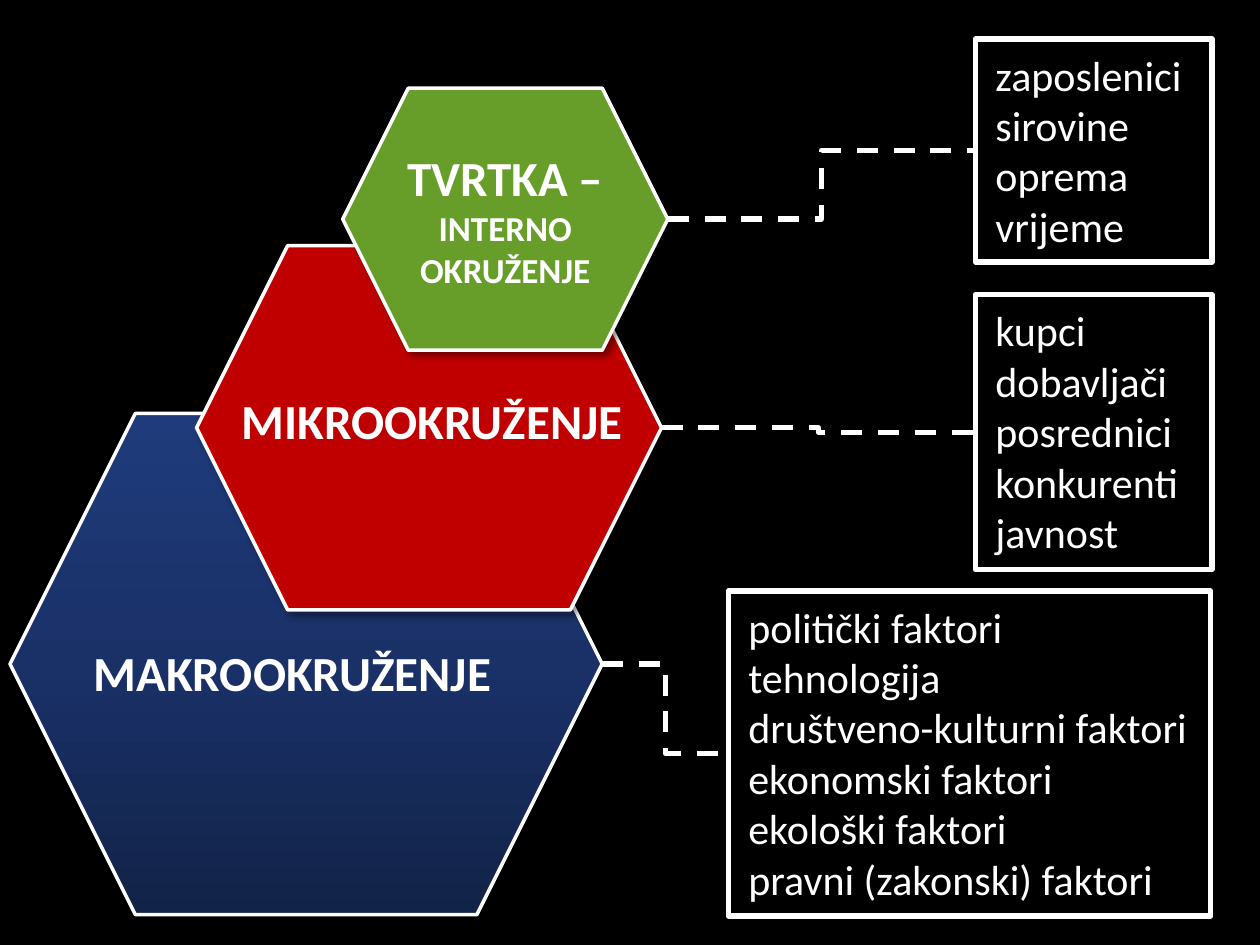
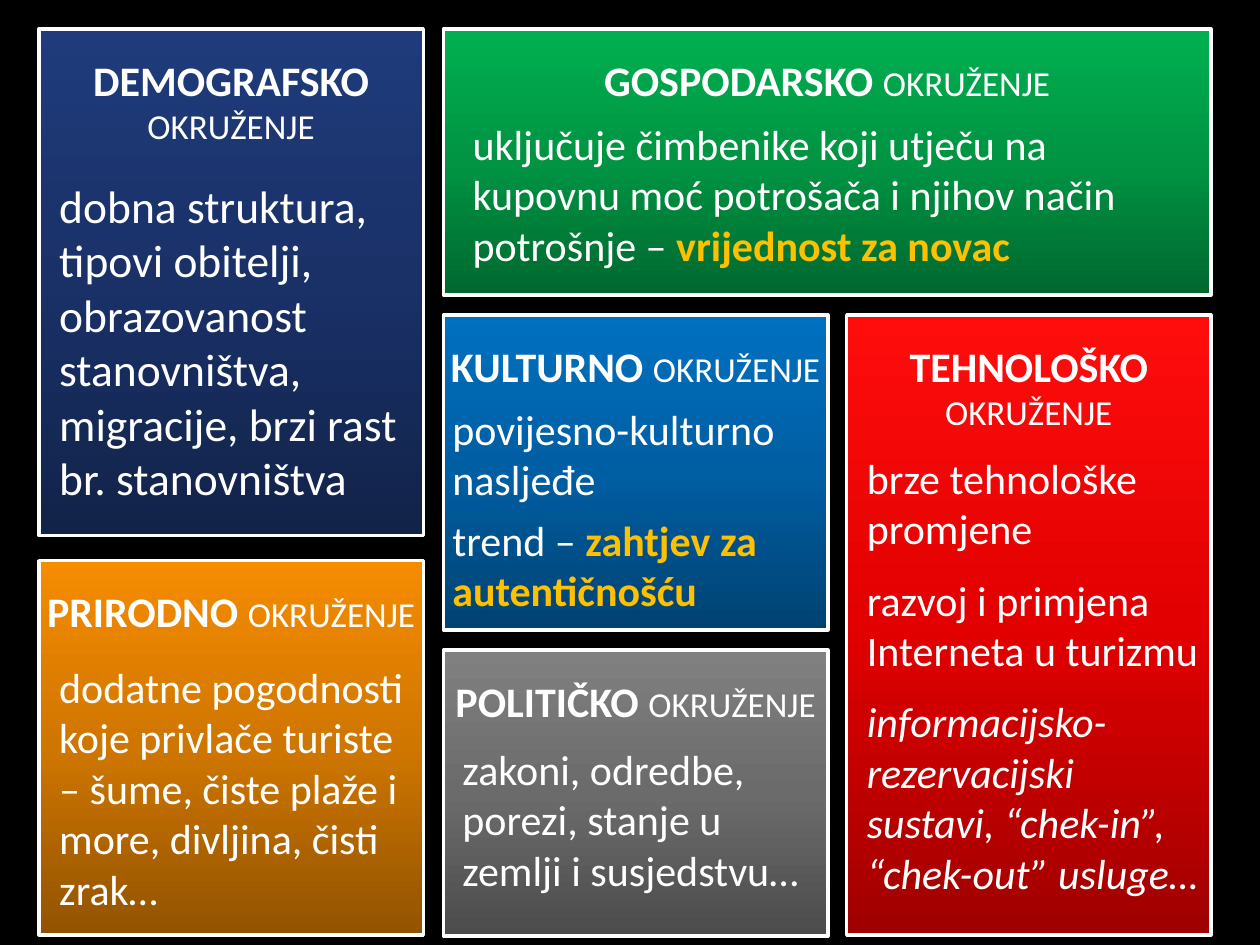
from lxml import etree
from copy import deepcopy
from pptx import Presentation
from pptx.dml.color import RGBColor
from pptx.enum.dml import MSO_LINE
from pptx.enum.shapes import MSO_CONNECTOR, MSO_SHAPE
from pptx.enum.text import MSO_ANCHOR, MSO_AUTO_SIZE, PP_ALIGN
from pptx.oxml import parse_xml
from pptx.oxml.ns import nsdecls, qn
from pptx.util import Inches, Pt

FONT = "Calibri"
COLORS = {
    "background": "000000", "white": "FFFFFF", "accent": "FFC000",
    "micro": "C00000", "company": "679E2A",
}
# Gradients run from the bottom edge to the top edge
GRADIENTS = {
    "navy": ("122349", "1A3168", "1F3B7B"),
    "green": ("00682F", "009443", "00B050"),
    "orange": ("925300", "CF7600", "F68C00"),
    "grey": ("4C4C4C", "6B6B6B", "808080"),
    "red": ("9F0000", "E20000", "FF0D0D"),
    "blue": ("004272", "005EA2", "0070C0"),
}
SHADOW = (f'<a:outerShdw {nsdecls("a")} blurRad="50800" dist="38100" dir="2700000" '
          'algn="tl" rotWithShape="0"><a:srgbClr val="000000">'
          '<a:alpha val="40000"/></a:srgbClr></a:outerShdw>')
WHITE = RGBColor.from_string(COLORS["white"])


def add_panel(shapes, kind, box, fill, line_width=2):
    """Add a white-edged shape; filled ones get a soft shadow."""
    panel = shapes.add_shape(kind, *map(Inches, box))
    panel.line.color.rgb = WHITE
    panel.line.width = Pt(line_width)
    panel.shadow.inherit = False
    if fill is None:
        panel.fill.background()
        return panel
    if fill in GRADIENTS:
        panel.fill.gradient()
        panel.fill.gradient_angle = 90
        stop_list = panel._element.spPr.find(qn("a:gradFill")).find(qn("a:gsLst"))
        stop_list.append(deepcopy(stop_list[0]))
        stops = zip(panel.fill.gradient_stops, GRADIENTS[fill], (0, 0.5, 1))
        for stop, color, position in stops:
            stop.color.rgb = RGBColor.from_string(color)
            stop.position = position
    else:
        panel.fill.solid()
        panel.fill.fore_color.rgb = RGBColor.from_string(COLORS[fill])
    panel._element.spPr.find(qn("a:effectLst")).append(parse_xml(SHADOW))
    return panel


def write(frame, paragraphs, size, align=PP_ALIGN.LEFT, anchor=MSO_ANCHOR.TOP,
          insets=None, before=0, wrap=True, grow=False):
    """Fill a frame; a paragraph is a list of (text, style, size or None) runs."""
    frame.word_wrap = wrap
    frame.vertical_anchor = anchor
    frame.auto_size = MSO_AUTO_SIZE.SHAPE_TO_FIT_TEXT if grow else MSO_AUTO_SIZE.NONE
    if insets:
        (frame.margin_left, frame.margin_top,
         frame.margin_right, frame.margin_bottom) = map(Inches, insets)
    for index, runs in enumerate(paragraphs):
        paragraph = frame.add_paragraph() if index else frame.paragraphs[0]
        paragraph.alignment = align
        paragraph.space_before = Pt(before)
        for text, style, run_size in runs:
            run = paragraph.add_run()
            run.text = text
            run.font.name = FONT
            run.font.size = Pt(run_size or size)
            run.font.bold = style in ("bold", "accent")
            run.font.italic = style == "italic"
            color = COLORS["accent" if style == "accent" else "white"]
            run.font.color.rgb = RGBColor.from_string(color)


prs = Presentation()
prs.slide_width, prs.slide_height = Inches(10), Inches(7.5)
backdrop = prs.slide_master.background.fill
backdrop.solid()
backdrop.fore_color.rgb = RGBColor.from_string(COLORS["background"])
blank = prs.slide_layouts[6]

# Slide 1: three nested environments and their factors
shapes = prs.slides.add_slide(blank).shapes
macro, micro, company = [
    add_panel(shapes, MSO_SHAPE.HEXAGON, box, fill) for box, fill in (
        ((0.08, 3.28, 4.7, 3.98), "navy"),
        ((1.56, 1.95, 3.69, 2.89), "micro"),
        ((2.72, 0.7, 2.58, 2.08), "company"),
    )]
write(company.text_frame,
      [[("TVRTKA – ", "bold", None), ("INTERNO OKRUŽENJE", "bold", 20)]],
      28, PP_ALIGN.CENTER, MSO_ANCHOR.MIDDLE)

for label, box, wrap in (
        ("MIKROOKRUŽENJE", (1.8, 3.05, 3.26, 0.57), False),
        ("MAKROOKRUŽENJE", (0.62, 5.05, 3.4, 0.57), True)):
    caption = shapes.add_textbox(*map(Inches, box))
    write(caption.text_frame, [[(label, "bold", None)]], 28,
          PP_ALIGN.CENTER, wrap=wrap, grow=True)

factor_lists = (
    (company, (7.74, 0.31, 1.88, 1.77), True,
     ("zaposlenici", "sirovine", "oprema", "vrijeme")),
    (micro, (7.74, 2.34, 1.88, 2.18), True,
     ("kupci", "dobavljači", "posrednici", "konkurenti", "javnost")),
    (macro, (5.78, 4.69, 3.83, 2.58), False,
     ("politički faktori", "tehnologija", "društveno-kulturni faktori",
      "ekonomski faktori", "ekološki faktori", "pravni (zakonski) faktori")),
)
for hexagon, box, wrap, factors in factor_lists:
    frame_box = add_panel(shapes, MSO_SHAPE.RECTANGLE, box, None, 3)
    write(frame_box.text_frame, [[(factor, "plain", None)] for factor in factors],
          24, insets=(0.16, 0.08, 0.16, 0.08), wrap=wrap, grow=True)
    link = shapes.add_connector(
        MSO_CONNECTOR.ELBOW,
        hexagon.left + hexagon.width, hexagon.top + hexagon.height // 2,
        frame_box.left, frame_box.top + frame_box.height // 2)
    link.line.color.rgb = WHITE
    link.line.width = Pt(3)
    link.line.dash_style = MSO_LINE.DASH
    etree.SubElement(link._element.spPr, qn("a:effectLst"))

# Slide 2: cards for the six parts of the macro environment
shapes = prs.slides.add_slide(blank).shapes
LEFT, MIDDLE, RIGHT = 0.31, 3.52, 6.72
CARD_WIDTH = 3.05
cards = (
    ("DEMOGRAFSKO", "navy", (LEFT, 0.23, CARD_WIDTH, 4.02),
     (0.47, 1.41, 2.81, 2.63), 26, 12,
     [[("dobna struktura, tipovi obitelji, obrazovanost stanovništva, "
        "migracije, brzi rast br. stanovništva", "plain", None)]]),
    ("GOSPODARSKO", "green", (MIDDLE, 0.23, 6.09, 2.11),
     (3.75, 0.94, 5.78, 1.21), 24, 12,
     [[("uključuje čimbenike koji utječu na kupovnu moć potrošača i njihov "
        "način potrošnje – ", "plain", None),
       ("vrijednost za novac", "accent", None)]]),
    ("PRIRODNO", "orange", (LEFT, 4.45, CARD_WIDTH, 2.97),
     (0.47, 5.25, 2.81, 2.02), 24, 12,
     [[("dodatne pogodnosti koje privlače turiste – šume, čiste plaže i more, "
        "divljina, čisti zrak…", "plain", None)]]),
    ("POLITIČKO", "grey", (MIDDLE, 5.16, CARD_WIDTH, 2.27),
     (3.67, 5.9, 2.81, 1.21), 24, 12,
     [[("zakoni, odredbe, porezi, stanje u zemlji i susjedstvu…", "plain", None)]]),
    ("TEHNOLOŠKO", "red", (RIGHT, 2.5, 2.89, 4.92),
     (6.88, 3.59, 2.66, 3.57), 24, 12,
     [[("brze tehnološke promjene", "plain", None)],
      [("razvoj i primjena Interneta u turizmu", "plain", None)],
      [("informacijsko-rezervacijski sustavi, “chek-in”, “chek-out” usluge…",
        "italic", None)]]),
    ("KULTURNO", "blue", (MIDDLE, 2.5, CARD_WIDTH, 2.5),
     (3.59, 3.2, 3.2, 1.7), 24, 6,
     [[("povijesno-kulturno nasljeđe", "plain", None)],
      [("trend – ", "plain", None),
       ("zahtjev za autentičnošću", "accent", None)]]),
)
for heading, fill, card_box, text_box, size, before, paragraphs in cards:
    group = shapes.add_group_shape()
    card = add_panel(group.shapes, MSO_SHAPE.RECTANGLE, card_box, fill)
    write(card.text_frame,
          [[(heading + " ", "bold", None), ("OKRUŽENJE", "plain", 20)]],
          24, PP_ALIGN.CENTER, insets=(0, 0.2, 0, 0.05))
    description = group.shapes.add_textbox(*map(Inches, text_box))
    write(description.text_frame, paragraphs, size, insets=(0, 0, 0, 0),
          before=before, grow=True)

prs.save("out.pptx")
